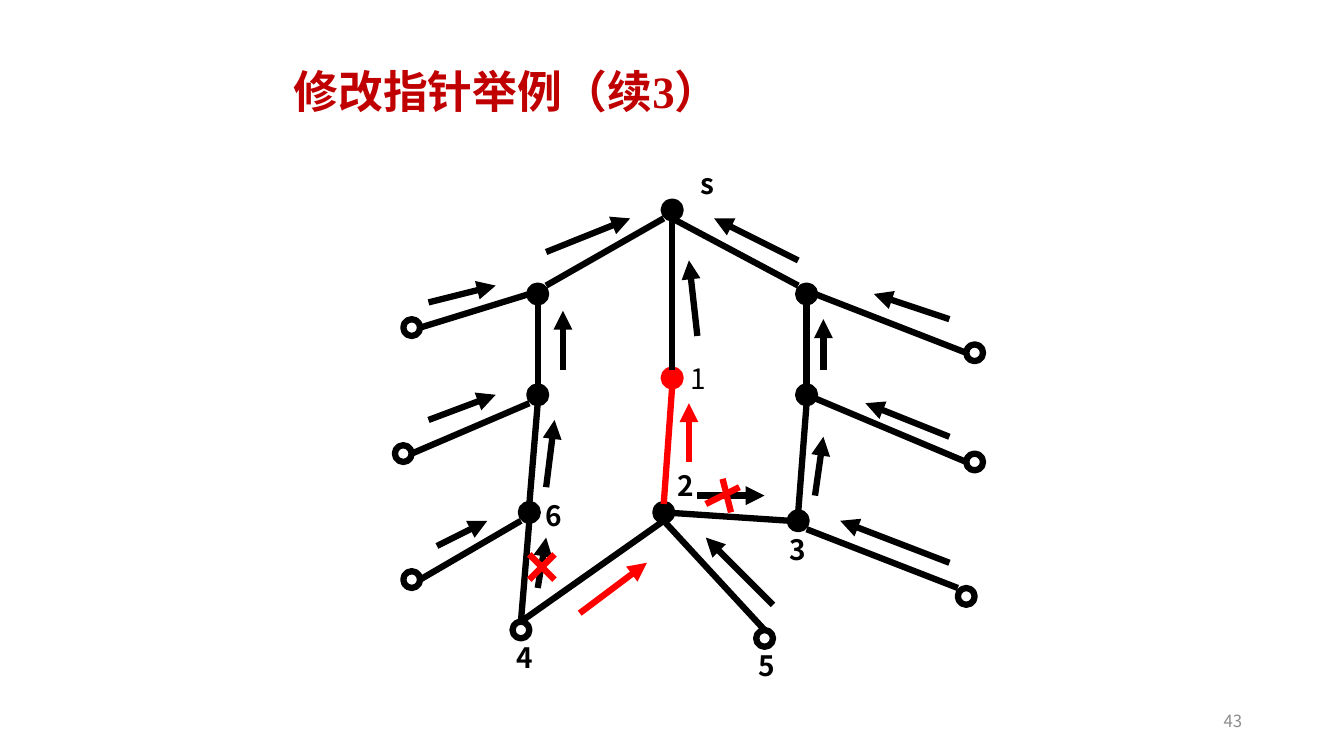
from dataclasses import dataclass
from typing import Any

from lxml.etree import SubElement
from pptx import Presentation
from pptx.dml.color import RGBColor
from pptx.enum.shapes import MSO_CONNECTOR, MSO_SHAPE
from pptx.enum.text import MSO_ANCHOR, MSO_AUTO_SIZE, PP_ALIGN
from pptx.oxml.ns import qn
from pptx.slide import Slide
from pptx.util import Inches, Length, Pt

COLOURS = {"black": "000000", "red": "FF0000", "title": "C00000", "grey": "8C8C8C"}
SANS = "Noto Sans CJK SC"
STROKE = Pt(4.5)
CELLS_PER_INCH = 12
NODE_CELLS = 2


@dataclass(frozen=True)
class Node:
    left: int
    top: int
    filled: bool = True
    colour: str = "black"


@dataclass(frozen=True)
class Segment:
    start: tuple[int, int]
    end: tuple[int, int]
    colour: str = "black"
    arrow: bool = False


@dataclass(frozen=True)
class Label:
    text: str
    left: float
    top: float
    bold: bool = True


NODES = [
    Node(79, 24),
    Node(63, 34),
    Node(95, 34),
    Node(63, 46),
    Node(79, 44, colour="red"),
    Node(95, 46),
    Node(62, 60),
    Node(78, 60),
    Node(94, 61),
    Node(115, 41, filled=False),
    Node(115, 54, filled=False),
    Node(48, 38, filled=False),
    Node(47, 53, filled=False),
    Node(61, 74, filled=False),
    Node(48, 68, filled=False),
    Node(114, 70, filled=False),
    Node(90, 75, filled=False),
]

EDGES = [
    Segment((79, 26), (65, 34)),
    Segment((80, 26), (95, 34)),
    Segment((64, 36), (64, 46)),
    Segment((96, 36), (96, 46)),
    Segment((80, 26), (80, 44)),
    Segment((50, 39), (63, 35)),
    Segment((115, 42), (97, 35)),
    Segment((115, 55), (96, 47)),
    Segment((49, 54), (63, 48)),
    Segment((64, 48), (63, 60)),
    Segment((50, 69), (62, 62)),
    Segment((63, 62), (62, 74)),
    Segment((62, 74), (79, 62)),
    Segment((79, 62), (91, 75)),
    Segment((79, 61), (94, 62)),
    Segment((96, 48), (95, 61)),
    Segment((96, 63), (114, 70)),
    Segment((80, 46), (79, 60), "red"),
]

POINTERS = [
    Segment((65, 30), (75, 26), arrow=True),
    Segment((51, 36), (59, 34), arrow=True),
    Segment((67, 44), (67, 37), arrow=True),
    Segment((65, 58), (66, 50), arrow=True),
    Segment((95, 31), (85, 26), arrow=True),
    Segment((83, 40), (82, 31), arrow=True),
    Segment((113, 38), (104, 35), arrow=True),
    Segment((113, 52), (103, 48), arrow=True),
    Segment((113, 67), (100, 62), arrow=True),
    Segment((98, 44), (98, 38), arrow=True),
    Segment((97, 59), (98, 52), arrow=True),
    Segment((83, 59), (91, 59), arrow=True),
    Segment((92, 72), (84, 64), arrow=True),
    Segment((51, 50), (59, 47), arrow=True),
    Segment((64, 70), (65, 64), arrow=True),
    Segment((52, 65), (58, 62), arrow=True),
    Segment((69, 73), (77, 67), "red", arrow=True),
    Segment((82, 55), (82, 48), "red", arrow=True),
]

CROSSES = [
    Segment((86, 57), (87, 61), "red"),
    Segment((88, 58), (84, 60), "red"),
    Segment((63, 66), (66, 69), "red"),
    Segment((66, 66), (63, 69), "red"),
]

LABELS = [
    Label("s", 6.85, 1.6),
    Label("1", 6.75, 3.54, bold=False),
    Label("2", 6.62, 4.6),
    Label("3", 7.73, 5.23),
    Label("4", 5.02, 6.31),
    Label("5", 7.42, 6.38),
    Label("6", 5.31, 4.9),
]


def grid(cells: int) -> Length:
    return Inches(cells / CELLS_PER_INCH)


def rgb(name: str) -> RGBColor:
    return RGBColor.from_string(COLOURS[name])


def set_values(target: Any, values: dict[str, Any]) -> None:
    for name, value in values.items():
        setattr(target, name, value)


def write(box: Any, text: str, colour: str, frame: dict[str, Any],
          font: dict[str, Any], align: PP_ALIGN = PP_ALIGN.LEFT) -> None:
    set_values(box.text_frame, {"word_wrap": True, **frame})
    para = box.text_frame.paragraphs[0]
    para.alignment = align
    span = para.add_run()
    span.text = text
    set_values(span.font, font)
    span.font.color.rgb = rgb(colour)


def draw_node(page: Slide, node: Node) -> None:
    size = grid(NODE_CELLS)
    circle = page.shapes.add_shape(
        MSO_SHAPE.OVAL, grid(node.left), grid(node.top), size, size)
    circle.shadow.inherit = False
    if node.filled:
        circle.fill.solid()
        circle.fill.fore_color.rgb = rgb(node.colour)
    else:
        circle.fill.background()
    circle.line.color.rgb = rgb(node.colour)
    circle.line.width = STROKE


def draw_segment(page: Slide, segment: Segment) -> None:
    points = [grid(cells) for cells in segment.start + segment.end]
    connector = page.shapes.add_connector(MSO_CONNECTOR.STRAIGHT, *points)
    connector.line.color.rgb = rgb(segment.colour)
    connector.line.width = STROKE
    if segment.arrow:
        SubElement(connector.line._get_or_add_ln(), qn("a:tailEnd"), type="triangle")
    SubElement(connector._element.spPr, qn("a:effectLst"))


def draw_label(page: Slide, label: Label) -> None:
    box = page.shapes.add_textbox(
        Inches(label.left), Inches(label.top), Inches(0.56), Inches(0.43))
    write(box, label.text, "black", {"auto_size": MSO_AUTO_SIZE.SHAPE_TO_FIT_TEXT},
          {"name": SANS, "size": Pt(20), "bold": label.bold})


def main() -> None:
    deck = Presentation()
    set_values(deck, {"slide_width": Inches(13.33), "slide_height": Inches(7.5)})
    page = deck.slides.add_slide(deck.slide_layouts[5])

    title = page.shapes.title
    set_values(title, {"left": Inches(2.81), "top": Inches(0.58),
                       "width": Inches(6.79), "height": Inches(0.64)})
    write(title, "修改指针举例（续3）", "title",
          {"auto_size": MSO_AUTO_SIZE.NONE, "vertical_anchor": MSO_ANCHOR.TOP},
          {"name": "Times New Roman", "size": Pt(32), "bold": True})

    number = page.shapes.add_textbox(Inches(9.42), Inches(6.95), Inches(3), Inches(0.4))
    write(number, "43", "grey", {"vertical_anchor": MSO_ANCHOR.MIDDLE},
          {"name": SANS, "size": Pt(12)}, PP_ALIGN.RIGHT)

    for node in NODES:
        draw_node(page, node)
    for segment in EDGES + POINTERS + CROSSES:
        draw_segment(page, segment)
    for label in LABELS:
        draw_label(page, label)

    deck.save("out.pptx")


if __name__ == "__main__":
    main()
